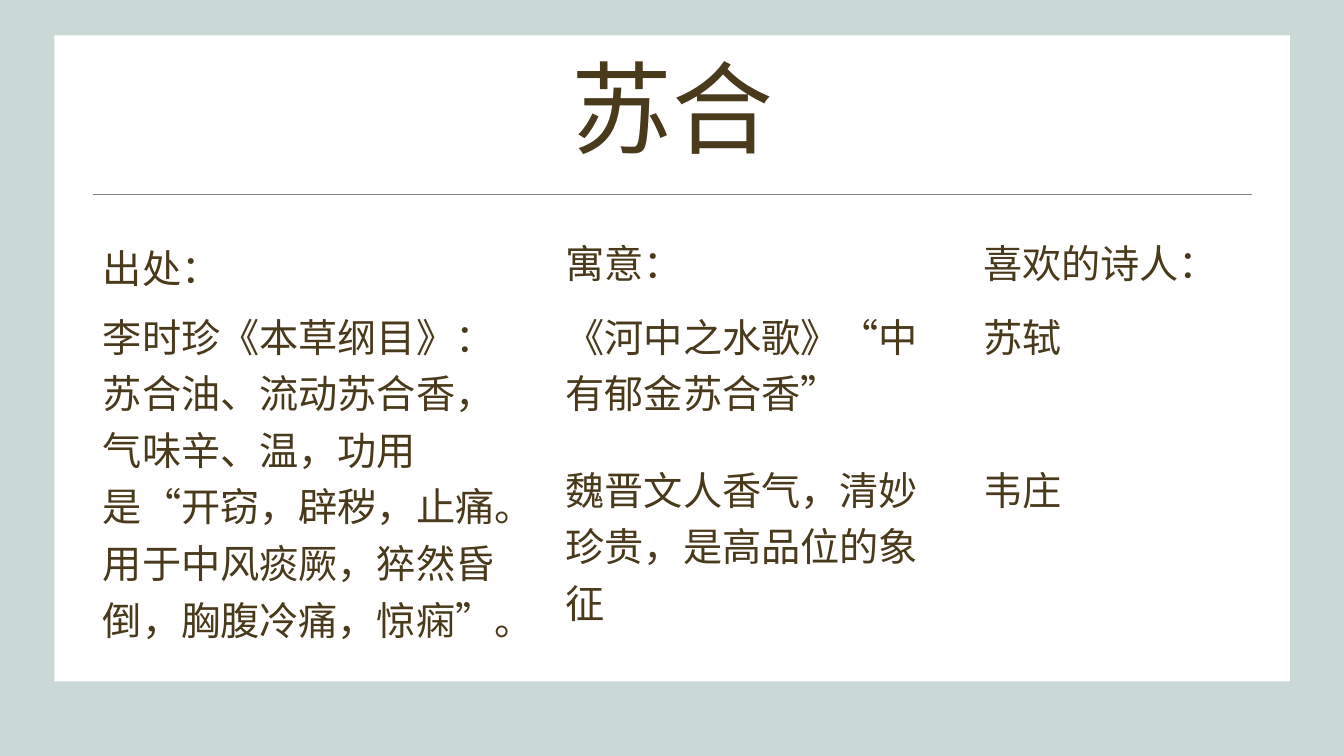
from dataclasses import dataclass

from lxml import etree
from pptx import Presentation
from pptx.dml.color import RGBColor
from pptx.enum.lang import MSO_LANGUAGE_ID
from pptx.enum.shapes import MSO_CONNECTOR, MSO_SHAPE
from pptx.enum.text import MSO_ANCHOR, PP_ALIGN
from pptx.oxml.ns import qn
from pptx.util import Cm, Pt

RECT = MSO_SHAPE.RECTANGLE
STRAIGHT = MSO_CONNECTOR.STRAIGHT
CENTER, JUSTIFY, LEFT = PP_ALIGN.CENTER, PP_ALIGN.JUSTIFY, PP_ALIGN.LEFT
MIDDLE = MSO_ANCHOR.MIDDLE
CHINESE = MSO_LANGUAGE_ID.SIMPLIFIED_CHINESE


@dataclass(frozen=True)
class Theme:
    """Colours, font and type sizes of the slide."""
    back: RGBColor = RGBColor(0xCA, 0xD8, 0xD6)
    paper: RGBColor = RGBColor(0xFF, 0xFF, 0xFF)
    rule: RGBColor = RGBColor(0x7E, 0x86, 0x79)
    ink: RGBColor = RGBColor(0x4A, 0x3A, 0x1C)
    font: str = "Noto Sans CJK SC"
    title: int = 72
    body: int = 28


THEME = Theme()
MARGIN, CONTENT_WIDTH = 2.34, 29.21
COLUMNS = (11.66, 10.52, 7.03)
ROWS = (1.73, 3.86, 5.08)
HEADINGS = ("出处：", "寓意：", "喜欢的诗人：")
SOURCE = ("李时珍《本草纲目》：苏合油、流动苏合香，气味辛、温，功用是“开窃，辟秽，止痛。"
          "用于中风痰厥，猝然昏倒，胸腹冷痛，惊痫”。")
MEANINGS = ("《河中之水歌》“中有郁金苏合香”", "魏晋文人香气，清妙珍贵，是高品位的象征")
POETS = ("苏轼", "韦庄")


def write(tf, text, size=THEME.body, align=LEFT, spacing=None, before=0):
    """Put one formatted paragraph into a text frame."""
    tf.word_wrap = True
    p = tf.paragraphs[0]
    p.alignment, p.line_spacing, p.space_before = align, spacing, Pt(before)
    r = p.add_run()
    r.text = text
    r.font.size, r.font.name = Pt(size), THEME.font
    r.font.color.rgb = THEME.ink
    r.font.language_id = CHINESE
    ea = etree.Element(qn("a:ea"), typeface=THEME.font)
    r.font._element.find(qn("a:latin")).addnext(ea)


def add_panel(s, left, top, width, height):
    """Add the white sheet behind the content."""
    shape = s.shapes.add_shape(RECT, Cm(left), Cm(top), Cm(width), Cm(height))
    shape.shadow.inherit = False
    shape.fill.solid()
    shape.fill.fore_color.rgb = THEME.paper
    shape.line.fill.background()


def add_rule(s, left, top, width):
    """Add the thin line under the title."""
    line = s.shapes.add_connector(STRAIGHT, Cm(left), Cm(top), Cm(left + width), Cm(top))
    line.line.color.rgb = THEME.rule
    line.line.width = Pt(1)
    etree.SubElement(line._element.spPr, qn("a:effectLst"))


def add_title(s, text, left, top, width, height):
    """Add the centred title."""
    tf = s.shapes.add_textbox(Cm(left), Cm(top), Cm(width), Cm(height)).text_frame
    tf.vertical_anchor = MIDDLE
    write(tf, text, size=THEME.title, align=CENTER, spacing=0.9)


def fill_cell(cell, text, right=0.25, **style):
    """Write a cell's text and set its right inset."""
    cell.margin_right = Cm(right)
    write(cell.text_frame, text, **style)


def add_grid(s, left, top):
    """Add the plain white table with its sized rows and columns."""
    frame = s.shapes.add_table(len(ROWS), len(COLUMNS), Cm(left), Cm(top),
                               Cm(sum(COLUMNS)), Cm(sum(ROWS)))
    table = frame.table
    table.first_row = table.horz_banding = False
    for column, width in zip(table.columns, COLUMNS):
        column.width = Cm(width)
    for row, height in zip(table.rows, ROWS):
        row.height = Cm(height)
    for cell in table.iter_cells():
        cell.fill.solid()
        cell.fill.fore_color.rgb = THEME.paper
    return table


def fill_grid(table):
    """Write the headings, the source, the meanings and the poets."""
    heading = dict(align=JUSTIFY, spacing=0.9, before=10)
    for i, text in enumerate(HEADINGS):
        fill_cell(table.cell(0, i), text, **(heading if i else {}))
    table.cell(1, 0).merge(table.cell(2, 0))
    fill_cell(table.cell(1, 0), SOURCE, right=0.61)
    for i, (meaning, poet) in enumerate(zip(MEANINGS, POETS), start=1):
        fill_cell(table.cell(i, 1), meaning, right=0.51)
        fill_cell(table.cell(i, 2), poet)


def main():
    """Build the slide and save it."""
    prs = Presentation()
    prs.slide_width, prs.slide_height = Cm(33.87), Cm(19.05)
    s = prs.slides.add_slide(prs.slide_layouts[6])
    s.background.fill.solid()
    s.background.fill.fore_color.rgb = THEME.back
    add_panel(s, 1.37, 0.89, 31.14, 16.28)
    add_rule(s, MARGIN, 4.9, CONTENT_WIDTH)
    add_title(s, "苏合", MARGIN, 1.02, CONTENT_WIDTH, 3.68)
    fill_grid(add_grid(s, MARGIN, 5.87))
    prs.save("out.pptx")


if __name__ == "__main__":
    main()
